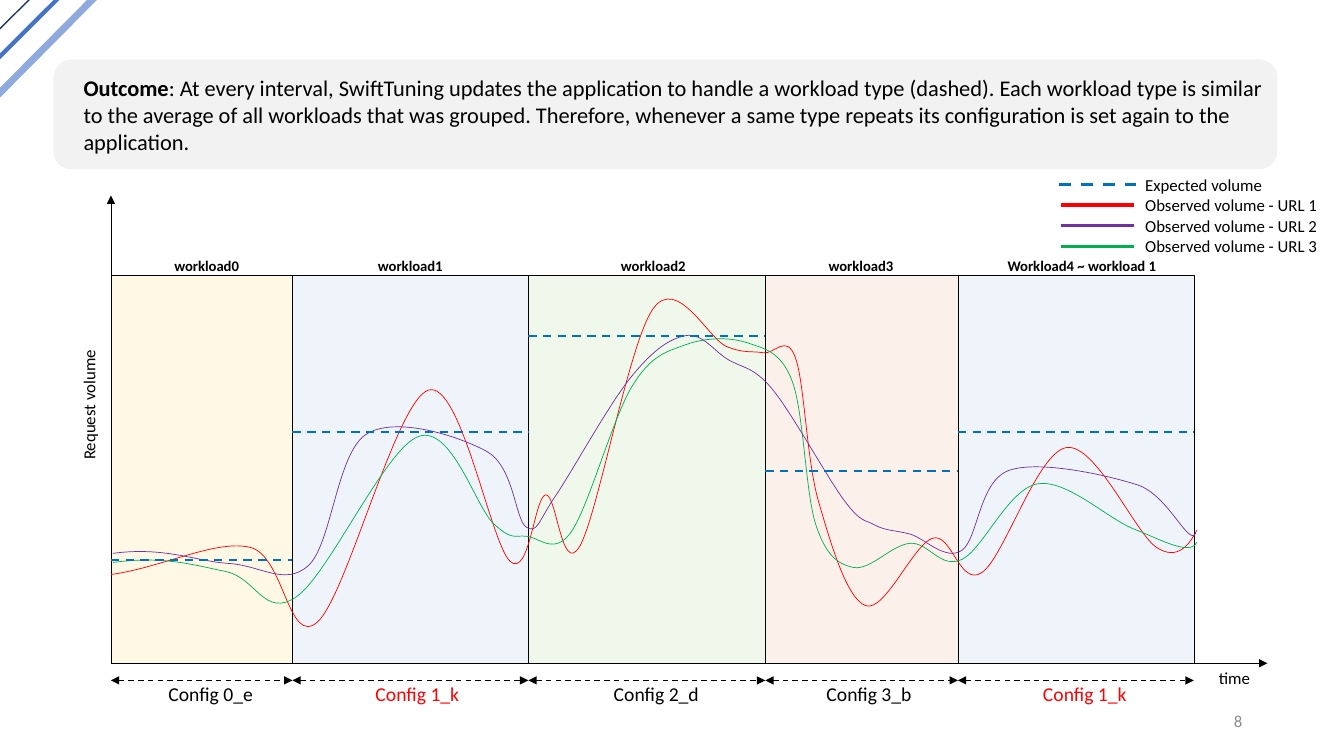
from lxml.etree import SubElement
from pptx import Presentation
from pptx.dml.color import RGBColor
from pptx.enum.dml import MSO_LINE
from pptx.enum.shapes import MSO_CONNECTOR, MSO_SHAPE
from pptx.enum.text import MSO_ANCHOR, MSO_AUTO_SIZE, PP_ALIGN
from pptx.oxml.ns import qn
from pptx.util import Pt

PX = 9144
FONT = "Calibri"

BLACK = RGBColor.from_string("000000")
GRAY = RGBColor.from_string("8C8C8C")
PALE_GRAY = RGBColor.from_string("F2F2F2")
RED = RGBColor.from_string("FF0000")
GREEN = RGBColor.from_string("00B050")
PURPLE = RGBColor.from_string("7030A0")
BLUE = RGBColor.from_string("0070C0")
NAVY = RGBColor.from_string("203864")
ROYAL = RGBColor.from_string("4472C4")
SKY = RGBColor.from_string("8FAADC")
PALE_YELLOW = RGBColor.from_string("FEF2CC")
PALE_BLUE = RGBColor.from_string("DEEBF7")
PALE_GREEN = RGBColor.from_string("E2F0D9")
PALE_ORANGE = RGBColor.from_string("FBE5D6")

OUTCOME = [
    ("Outcome", True),
    (": At every interval, SwiftTuning updates the application to handle a workload type "
     "(dashed). Each workload type is similar to the average of all workloads that was "
     "grouped. Therefore, whenever a same type repeats its configuration is set again to "
     "the application.", False),
]

RIBBONS = [
    (-25, 53, 52, -23, NAVY, 1),
    (-16, 72, 65, -9, ROYAL, 3),
    (-11, 103, 103, -12, SKY, 5),
]

EDGES = [110, 290, 524, 759, 950, 1184]
INTERVALS = [
    (PALE_YELLOW, 556, "workload0", 205, "Config 0_e", 209, BLACK),
    (PALE_BLUE, 429, "workload1", 407, "Config 1_k", 414, RED),
    (PALE_GREEN, 333, "workload2", 648, "Config 2_d", 651, BLACK),
    (PALE_ORANGE, 467, "workload3", 854, "Config 3_b", 862, BLACK),
    (PALE_BLUE, 429, "Workload4 ~ workload 1", 1073, "Config 1_k", 1076, RED),
]

URL_CURVES = [
    (RED, [(110, 570), (248, 543), (315, 617), (425, 387), (506, 557), (541, 491),
           (575, 542), (648, 306), (721, 344), (757, 350), (789, 355), (812, 498),
           (859, 601), (925, 534), (974, 568), (1058, 444), (1147, 543), (1187, 526)]),
    (GREEN, [(112, 558), (224, 567), (294, 592), (415, 433), (490, 520), (522, 532),
             (567, 527), (627, 383), (680, 342), (741, 340), (786, 379), (809, 520),
             (847, 563), (903, 539), (954, 555), (1029, 480), (1125, 525), (1187, 538)]),
    (PURPLE, [(112, 549), (227, 559), (306, 561), (363, 431), (483, 448), (522, 523),
              (551, 492), (626, 374), (680, 333), (721, 356), (766, 386), (837, 496),
              (868, 521), (903, 530), (954, 546), (1000, 467), (1128, 481), (1186, 529)]),
]
START_TANGENT, END_TANGENT = (51, -7), (7, -14)

LEGEND = [
    ("Expected volume", 137, BLUE, 1050, 1127, True),
    ("Observed volume - URL 1", 193, RED, 1052, 1125, False),
    ("Observed volume - URL 2", 193, PURPLE, 1052, 1125, False),
    ("Observed volume - URL 3", 193, GREEN, 1052, 1125, False),
]

PANEL_TOP, AXIS_Y, AXIS_X = 273, 658, EDGES[0]
CONFIG_ARROW_Y = 675
LEGEND_LINE_TOP, LEGEND_TEXT_TOP, LEGEND_STEP = 183, 168, 20.4

deck = Presentation()
deck.slide_width, deck.slide_height = 1333 * PX, 750 * PX
page = deck.slides.add_slide(deck.slide_layouts[6])
shapes = page.shapes


def emu(*lengths):
    return [round(length * PX) for length in lengths]


def add_line(x1, y1, x2, y2, color, width, dashed=False, ends=()):
    line = shapes.add_connector(MSO_CONNECTOR.STRAIGHT, *emu(x1, y1, x2, y2))
    line.line.color.rgb = color
    line.line.width = Pt(width)
    if dashed:
        line.line.dash_style = MSO_LINE.DASH
    properties = line._element.spPr
    for end in ends:
        SubElement(properties.find(qn("a:ln")), qn(end), type="triangle")
    SubElement(properties, qn("a:effectLst"))


def add_block(kind, left, top, width, height, fill, alpha=None):
    block = shapes.add_shape(kind, *emu(left, top, width, height))
    block.shadow.inherit = False
    block.fill.solid()
    block.fill.fore_color.rgb = fill
    if alpha:
        color = block._element.spPr.find(qn("a:solidFill")).find(qn("a:srgbClr"))
        SubElement(color, qn("a:alpha"), val=str(alpha * 1000))
        block.line.color.rgb = BLACK
        block.line.width = Pt(0.25)
    else:
        block.line.fill.background()


def add_text(spans, left, top, width, height, size, color=BLACK, wrap=False):
    box = shapes.add_textbox(*emu(left, top, width, height))
    frame = box.text_frame
    frame.word_wrap = wrap
    frame.auto_size = MSO_AUTO_SIZE.SHAPE_TO_FIT_TEXT
    para = frame.paragraphs[0]
    for text, bold in spans:
        span = para.add_run()
        span.text = text
        span.font.name = FONT
        span.font.size = Pt(size)
        span.font.bold = bold
        span.font.color.rgb = color
    return box


def add_label(text, bold, center, top, width, height, size, color=BLACK):
    box = add_text([(text, bold)], center - width / 2, top, width, height, size, color)
    box.text_frame.paragraphs[0].alignment = PP_ALIGN.CENTER


def add_curve(color, anchors):
    builder = shapes.build_freeform(*anchors[0], scale=PX)
    builder.add_line_segments(anchors[1:], close=False)
    curve = builder.convert_to_shape()
    curve.shadow.inherit = False
    curve.fill.background()
    curve.line.color.rgb = color
    curve.line.width = Pt(0.5)
    left, top = (min(values) for values in zip(*anchors))
    inner = [((x2 - x1) / 6, (y2 - y1) / 6)
             for (x1, y1), (x2, y2) in zip(anchors, anchors[2:])]
    tangents = [START_TANGENT, *inner, END_TANGENT]
    for index, step in enumerate(list(curve._element.iter(qn("a:lnTo")))):
        (x1, y1), (x2, y2) = anchors[index:index + 2]
        (dx1, dy1), (dx2, dy2) = tangents[index:index + 2]
        bezier = SubElement(step.getparent(), qn("a:cubicBezTo"))
        for x, y in [(x1 + dx1, y1 + dy1), (x2 - dx2, y2 - dy2), (x2, y2)]:
            SubElement(bezier, qn("a:pt"), x=str(round(x - left)), y=str(round(y - top)))
        step.getparent().replace(step, bezier)


for ribbon in RIBBONS:
    add_line(*ribbon)

columns = list(zip(EDGES, EDGES[1:], INTERVALS))
for left, right, (fill, *_) in reversed(columns):
    add_block(MSO_SHAPE.RECTANGLE, left, PANEL_TOP, right - left, AXIS_Y - PANEL_TOP, fill, 50)

add_block(MSO_SHAPE.ROUNDED_RECTANGLE, 53, 59, 1214, 109, PALE_GRAY)
add_text(OUTCOME, 73, 69, 1195, 91, 16, wrap=True)

add_line(AXIS_X, AXIS_Y, 1257, AXIS_Y, BLACK, 0.5, ends=["a:tailEnd"])
add_line(AXIS_X, AXIS_Y, AXIS_X, 194, BLACK, 0.5, ends=["a:tailEnd"])
add_text([("time", False)], 1199, 658, 52, 30, 12)
add_text([("Request volume", False)], 23, 386, 130, 30, 12).rotation = 270

for color, anchors in URL_CURVES:
    add_curve(color, anchors)

for left, right, (_, level, title, title_x, config, config_x, config_color) in columns:
    add_label(title, True, title_x, 250, 171 if len(title) > 9 else 87, 28, 10.5)
    add_line(left, level, right, level, BLUE, 1.5, dashed=True)
    add_line(left, CONFIG_ARROW_Y, right, CONFIG_ARROW_Y, BLACK, 1, dashed=True,
             ends=["a:headEnd", "a:tailEnd"])
    add_label(config, False, config_x, 672, 107, 34, 14, config_color)

for index, (label, width, color, start, end, dashed) in enumerate(LEGEND):
    offset = index * LEGEND_STEP
    line_y = LEGEND_LINE_TOP + offset
    add_line(start, line_y, end, line_y, color, 2.25, dashed)
    add_text([(label, False)], 1126, LEGEND_TEXT_TOP + offset, width, 30, 12)

number = add_text([("8", False)], 942, 695, 300, 40, 12, GRAY, wrap=True)
number.text_frame.auto_size = MSO_AUTO_SIZE.NONE
number.text_frame.vertical_anchor = MSO_ANCHOR.MIDDLE
number.text_frame.paragraphs[0].alignment = PP_ALIGN.RIGHT

deck.save("out.pptx")
